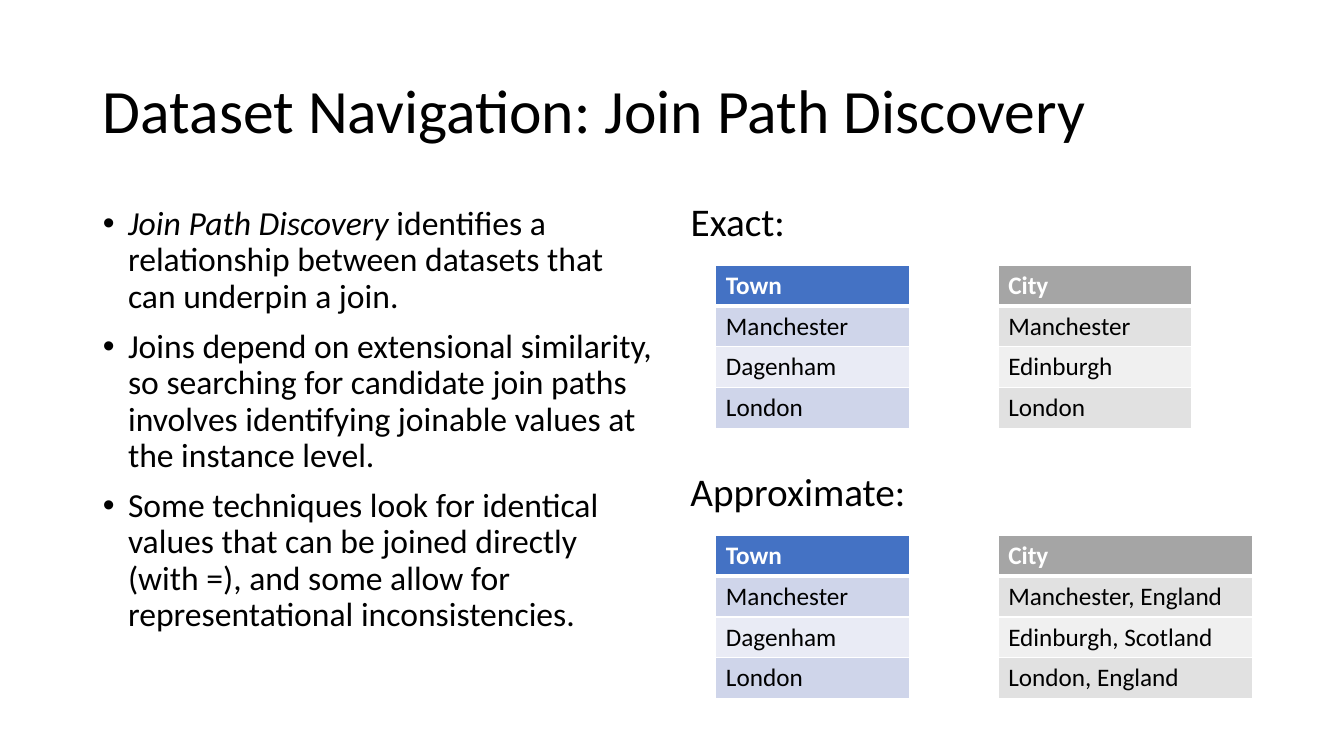
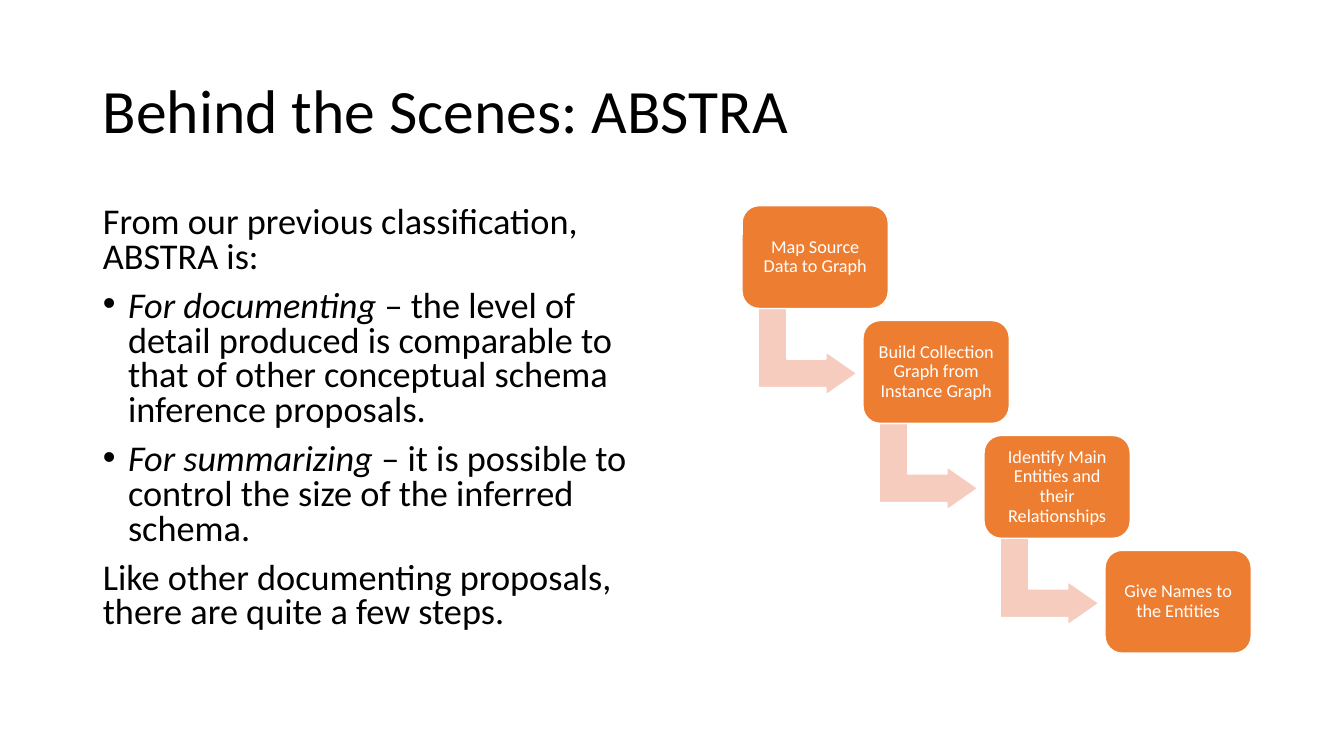
from dataclasses import dataclass

from lxml import etree
from pptx import Presentation
from pptx.dml.color import RGBColor
from pptx.enum.shapes import MSO_SHAPE
from pptx.enum.text import MSO_ANCHOR, MSO_AUTO_SIZE, PP_ALIGN
from pptx.oxml.ns import qn
from pptx.util import Inches, Pt

ROUND, BENT = MSO_SHAPE.ROUNDED_RECTANGLE, MSO_SHAPE.BENT_UP_ARROW
TOP, MIDDLE = MSO_ANCHOR.TOP, MSO_ANCHOR.MIDDLE
LEFT, CENTER = PP_ALIGN.LEFT, PP_ALIGN.CENTER
FIXED = MSO_AUTO_SIZE.NONE


@dataclass(frozen=True)
class Theme:
    font: str = "Calibri"
    black: str = "000000"
    white: str = "FFFFFF"
    orange: str = "ED7D31"
    peach: str = "F6CCBE"
    blues: tuple = ("4472C4", "CFD5EA", "E9EBF5")
    grays: tuple = ("A5A5A5", "E1E1E1", "F0F0F0")
    title: float = 44
    head: float = 28
    list: float = 24
    dense: float = 25.9
    cell: float = 18
    step: float = 13


T = Theme()
rgb = RGBColor.from_string


def write(frame, paras, size, color=T.black, bold=False, align=LEFT, lead=1.0, gap=0):
    """Fill a frame; a string is a plain paragraph, (italic, rest) a bullet."""
    for n, para in enumerate(paras):
        p = frame.paragraphs[0] if n == 0 else frame.add_paragraph()
        listed = isinstance(para, tuple)
        props = p._p.get_or_add_pPr()
        props.set("marL", str(Inches(0.25) if listed else 0))
        props.set("indent", str(Inches(-0.25) if listed else 0))
        if listed:
            etree.SubElement(props, qn("a:buFont")).set("typeface", "Arial")
            etree.SubElement(props, qn("a:buChar")).set("char", "•")
        else:
            etree.SubElement(props, qn("a:buNone"))
        p.alignment, p.line_spacing = align, lead
        p.space_before = Pt(gap if n else 0)
        for k, text in enumerate(para if listed else ("", para)):
            if text:
                run = p.add_run()
                run.text = text
                font = run.font
                font.name, font.size = T.font, Pt(size)
                font.bold, font.italic = bold, k == 0
                font.color.rgb = rgb(color)


def place(shape, x, y, w, h, anchor=TOP):
    """Move a text shape and return its frame."""
    shape.left, shape.top = Inches(x), Inches(y)
    shape.width, shape.height = Inches(w), Inches(h)
    frame = shape.text_frame
    frame.word_wrap, frame.auto_size = True, FIXED
    frame.vertical_anchor = anchor
    return frame


deck = Presentation()
deck.slide_width, deck.slide_height = Inches(13.33), Inches(7.5)

# Titles and lists
PAGES = [
    (3, "Dataset Navigation: Join Path Discovery", 4.42, T.list, 0.9, [
        ("Join Path Discovery ", "identifies a relationship between datasets "
         "that can underpin a join."),
        ("", "Joins depend on extensional similarity, so searching for candidate "
         "join paths involves identifying joinable values at the instance level."),
        ("", "Some techniques look for identical values that can be joined directly "
         "(with =), and some allow for representational inconsistencies."),
    ]),
    (1, "Behind the Scenes: ABSTRA", 4.76, T.dense, 0.8, [
        "From our previous classification, ABSTRA is:",
        ("For documenting ", "– the level of detail produced is comparable to that "
         "of other conceptual schema inference proposals."),
        ("For summarizing ", "– it is possible to control the size of the inferred schema."),
        "Like other documenting proposals, there are quite a few steps.",
    ]),
]
slides = []
for layout, title, high, size, lead, paras in PAGES:
    slide = deck.slides.add_slide(deck.slide_layouts[layout])
    slides.append(slide)
    write(place(slide.shapes.title, 0.92, 0.4, 11.5, 1.45, MIDDLE), [title],
          T.title, lead=0.9)
    write(place(slide.placeholders[1], 0.92, 2, 5.67, high), paras,
          size, lead=lead, gap=10)
joins, steps = slides

# Join examples: a heading over two tables
TOWNS = ["Town", "Manchester", "Dagenham", "London"]
GROUPS = [
    ("Exact:", 1.92, ["City", "Manchester", "Edinburgh", "London"]),
    ("Approximate:", 2.52,
     ["City", "Manchester, England", "Edinburgh, Scotland", "London, England"]),
]
for n, (head, wide, cities) in enumerate(GROUPS):
    top = 2 + 2.68 * n
    label = joins.shapes.add_textbox(0, 0, 0, 0) if n else joins.placeholders[2]
    write(place(label, 6.75, top, 5.67, 0.48), [head], T.head, lead=0.8)

    for x, w, words, fills in ((7.1, 1.92, TOWNS, T.blues), (9.9, wide, cities, T.grays)):
        table = joins.shapes.add_table(len(words), 1, Inches(x), Inches(top + 0.63),
                                       Inches(w), Inches(1.62)).table
        for row, word in enumerate(words):
            cell = table.cell(row, 0)
            props = cell._tc.get_or_add_tcPr()
            # Thick rule under the header, thin ones elsewhere
            thick = {0: "lnB", 1: "lnT"}.get(row)
            for side in ("lnL", "lnR", "lnT", "lnB"):
                line = etree.SubElement(props, qn("a:" + side))
                line.set("w", str(Pt(3 if side == thick else 1)))
                fill = etree.SubElement(line, qn("a:solidFill"))
                etree.SubElement(fill, qn("a:srgbClr")).set("val", T.white)
            cell.fill.solid()
            cell.fill.fore_color.rgb = rgb(fills[0] if row == 0 else fills[2 - row % 2])
            write(cell.text_frame, [word], T.cell, bold=row == 0,
                  color=T.black if row else T.white)

# Staircase of steps
STEPS = ["Map Source Data to Graph", "Build Collection Graph from Instance Graph",
         "Identify Main Entities and their Relationships", "Give Names to the Entities"]
for n, step in enumerate(STEPS):
    x, y = 7.36 + 1.2 * n, 2.04 + 1.14 * n
    parts = []
    if n < len(STEPS) - 1:
        arrow = steps.shapes.add_shape(BENT, Inches(x + 0.22), Inches(y + 0.96),
                                       Inches(0.86), Inches(0.98))
        arrow.rotation = 90
        for k, value in enumerate((0.33, 0.25, 0.36)):
            arrow.adjustments[k] = value
        parts.append((arrow, T.peach))
    box = steps.shapes.add_shape(ROUND, 0, 0, 0, 0)
    frame = place(box, x, y, 1.45, 1.02, MIDDLE)
    frame.margin_left = frame.margin_right = Inches(0.1)
    frame.margin_top = frame.margin_bottom = Inches(0.1)
    write(frame, [step], T.step, T.white, align=CENTER, lead=0.9)
    parts.append((box, T.orange))
    for part, color in parts:
        part.shadow.inherit = False
        part.fill.solid()
        part.fill.fore_color.rgb = rgb(color)
        part.line.color.rgb = rgb(T.white)
        part.line.width = Pt(1)

deck.save("out.pptx")
